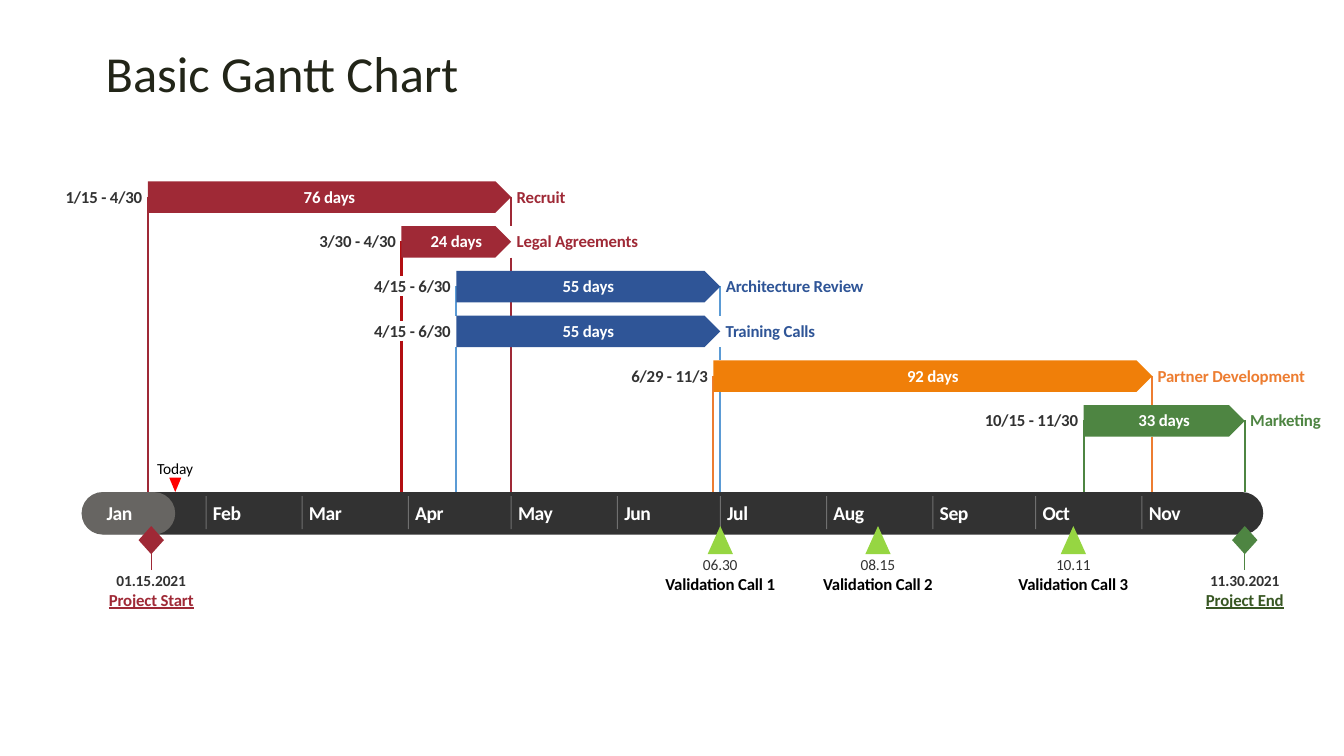
from itertools import accumulate

from lxml.etree import SubElement
from pptx import Presentation
from pptx.dml.color import RGBColor
from pptx.enum.shapes import MSO_CONNECTOR, MSO_SHAPE as Shape
from pptx.enum.text import MSO_ANCHOR, PP_ALIGN as Align
from pptx.oxml.ns import qn
from pptx.util import Inches, Pt

MONTHS = ["Jan", "Feb", "Mar", "Apr", "May", "Jun", "Jul", "Aug", "Sep", "Oct", "Nov"]
MONTH_STARTS = list(accumulate([31, 28, 31, 30, 31, 30, 31, 31, 30, 31], initial=0))

RED, BLUE, ORANGE, GREEN = "9F2936", "2F5597", "F07F09", "4E8542"
SKY, AMBER, LIME = "5B9BD5", "ED7D31", "96D642"
DARK, WHITE, BLACK = "323232", "FFFFFF", "000000"

# start, finish, duration, name, name width, bar, name colour, drop line
TASKS = [
    ("1/15", "4/30", "76 days", "Recruit", 15, RED, RED, RED),
    ("3/30", "4/30", "24 days", "Legal Agreements", 37, RED, RED, "B20E12"),
    ("4/15", "6/30", "55 days", "Architecture Review", 42, BLUE, BLUE, SKY),
    ("4/15", "6/30", "55 days", "Training Calls", 28, BLUE, BLUE, SKY),
    ("6/29", "11/3", "92 days", "Partner Development", 45, ORANGE, AMBER, AMBER),
    ("10/15", "11/30", "33 days", "Marketing", 22, GREEN, GREEN, GREEN),
]
CALLS = [("06.30", "Validation Call 1"), ("08.15", "Validation Call 2"),
         ("10.11", "Validation Call 3")]
GATES = [("01.15.2021", "Project Start", RED, RED),
         ("11.30.2021", "Project End", GREEN, "385723")]

# Columns are days of the year, rows are task lines.
BAR_ROWS, LABEL_TOP, LABEL_ROWS, LABEL_GAP = 0.7, 0.11, 0.45, 1.6
AXIS_LEFT, AXIS_DAYS, AXIS_ROW, AXIS_ROWS = -5.3, 344.7, 6.94, 0.95
TODAY = 22
MARKER_ROW, MARKER_DAYS, MARKER_ROWS = 7.7, 7.4, 0.63


def rgb(code):
    return RGBColor.from_string(code)


def fade(element, percent):
    """Make the colours inside an element partly transparent."""
    for colour in element.iter(qn("a:srgbClr")):
        SubElement(colour, qn("a:alpha")).set("val", str(percent * 1000))


def day_of(date, separator="/"):
    """Count the days of the year that have passed when the date begins."""
    month, day = [int(part) for part in date.split(separator)[:2]]
    return MONTH_STARTS[month - 1] + day - 1


class GanttSlide:
    font = "Calibri"
    left, top, day, row = 0.99, 1.8, 0.034, 0.444

    def __init__(self, deck):
        self.shapes = deck.slides.add_slide(deck.slide_layouts[6]).shapes

    def point(self, x, y):
        return Inches(self.left + x * self.day), Inches(self.top + y * self.row)

    def box(self, x, y, days, rows):
        return *self.point(x, y), Inches(days * self.day), Inches(rows * self.row)

    def shape(self, kind, x, y, days, rows, colour):
        item = self.shapes.add_shape(kind, *self.box(x, y, days, rows))
        item.shadow.inherit = False
        item.fill.solid()
        item.fill.fore_color.rgb = rgb(colour)
        item.line.fill.background()
        return item

    def line(self, x, start, end, colour, width=1.5):
        item = self.shapes.add_connector(
            MSO_CONNECTOR.STRAIGHT, *self.point(x, start), *self.point(x, end))
        item.line.color.rgb = rgb(colour)
        item.line.width = Pt(width)
        SubElement(item._element.spPr, qn("a:effectLst"))
        return item

    def text(self, words, x, y, days, rows=LABEL_ROWS, colour=DARK, size=12, bold=True,
             align=Align.LEFT, underline=False, spacing=-10, inset=True):
        frame = self.shapes.add_textbox(*self.box(x, y, days, rows)).text_frame
        frame.word_wrap = True
        if not inset:
            frame.margin_left = frame.margin_right = 0
            frame.margin_top = frame.margin_bottom = 0
            frame.vertical_anchor = MSO_ANCHOR.MIDDLE
        paragraph = frame.paragraphs[0]
        paragraph.alignment = align
        run = paragraph.add_run()
        run.text = words
        run.font.name, run.font.size, run.font.bold = self.font, Pt(size), bold
        run.font.color.rgb = rgb(colour)
        if underline:
            run.font.underline = True
        run._r.get_or_add_rPr().set("spc", str(spacing))

    def label(self, words, x, y, days, **style):
        self.text(words, x, y, days, inset=False, **style)

    def centred(self, words, x, y, days, **style):
        self.label(words, x - days / 2, y, days, align=Align.CENTER, **style)

    def drop(self, x, row, colour, breaks):
        """Run a line from a task down to the axis, leaving out the breaks."""
        start = row + 0.34
        for upper, lower in breaks:
            self.line(x, start, upper, colour)
            start = lower
        self.line(x, start, AXIS_ROW, colour)

    def task(self, row, start, end, dates, duration, name, name_days, bar, colour):
        self.shape(Shape.PENTAGON, start, row, end - start, BAR_ROWS, bar)
        days, y = date_days(dates), row + LABEL_TOP
        self.label(dates, start - LABEL_GAP - days, y, days, align=Align.RIGHT)
        self.label(name, end + LABEL_GAP, y, name_days, colour=colour)
        self.centred(duration, (start + end) / 2, y, 16, colour=WHITE)

    def milestone(self, kind, date, name, fill, colour, row, bold, underline):
        x = day_of(date, ".") + 1
        self.shape(kind, x - MARKER_DAYS / 2, MARKER_ROW, MARKER_DAYS, MARKER_ROWS, fill)
        self.centred(date, x, row, 22 if bold else 11, size=11, bold=bold)
        self.centred(name, x, row + 0.43, 26 if underline else 33,
                     colour=colour, underline=underline)


def date_days(dates):
    return 29 if len(dates) > 11 else 23


def breaks_below(x, row, spans):
    """List the stretches where later bars or date labels cover a day."""
    breaks = []
    for below, (start, end, dates) in enumerate(spans):
        if below <= row:
            continue
        label_end = start - LABEL_GAP
        if start <= x <= end:
            breaks.append((below, below + BAR_ROWS))
        elif label_end - date_days(dates) <= x <= label_end:
            breaks.append((below + LABEL_TOP, below + LABEL_TOP + LABEL_ROWS))
    return breaks


def main():
    deck = Presentation()
    deck.slide_width, deck.slide_height = Inches(13.33), Inches(7.5)
    gantt = GanttSlide(deck)
    gantt.text("Basic Gantt Chart", -1.18, -3.22, 238, 1.6, colour="222518",
               size=36, bold=False, spacing=0)

    spans = [(day_of(task[0]), day_of(task[1]) + 1, f"{task[0]} - {task[1]}")
             for task in TASKS]
    dropped = set()
    for row, (start, end, _) in enumerate(spans):
        for x in (start, end):
            if x not in dropped:
                gantt.drop(x, row, TASKS[row][-1], breaks_below(x, row, spans))
                dropped.add(x)
    for date, _, fill, _ in GATES:
        gantt.line(day_of(date, ".") + 1, 8.02, 8.69, fill, 0.75)

    axis = gantt.shape(Shape.ROUNDED_RECTANGLE, AXIS_LEFT, AXIS_ROW,
                       AXIS_DAYS, AXIS_ROWS, DARK)
    elapsed = gantt.shape(Shape.ROUNDED_RECTANGLE, AXIS_LEFT, AXIS_ROW,
                          TODAY - AXIS_LEFT, AXIS_ROWS, "E3DED1")
    axis.adjustments[0] = elapsed.adjustments[0] = 0.5
    fade(elapsed._element.spPr, 30)
    pointer = gantt.shape(Shape.ISOSCELES_TRIANGLE, TODAY - 1.75, 6.62, 3.5, 0.32, "FF0000")
    pointer.rotation = 180
    gantt.centred("Today", TODAY, 6.19, 12, colour=BLACK, size=11, bold=False)

    for month, start in zip(MONTHS, MONTH_STARTS):
        gantt.label(month, start + 2, 7.12, 11, rows=0.54, colour=WHITE, size=14, spacing=-30)
        if start:
            divider = gantt.line(start, 7.03, 7.77, WHITE, 0.75)
            fade(divider._element.spPr, 30)

    for row, (span, task) in enumerate(zip(spans, TASKS)):
        gantt.task(row, *span, *task[2:-1])
    for date, name in CALLS:
        gantt.milestone(Shape.ISOSCELES_TRIANGLE, date, name, LIME, BLACK, 8.33, False, False)
    for date, name, fill, colour in GATES:
        gantt.milestone(Shape.DIAMOND, date, name, fill, colour, 8.69, True, True)
    deck.save("out.pptx")


if __name__ == "__main__":
    main()
